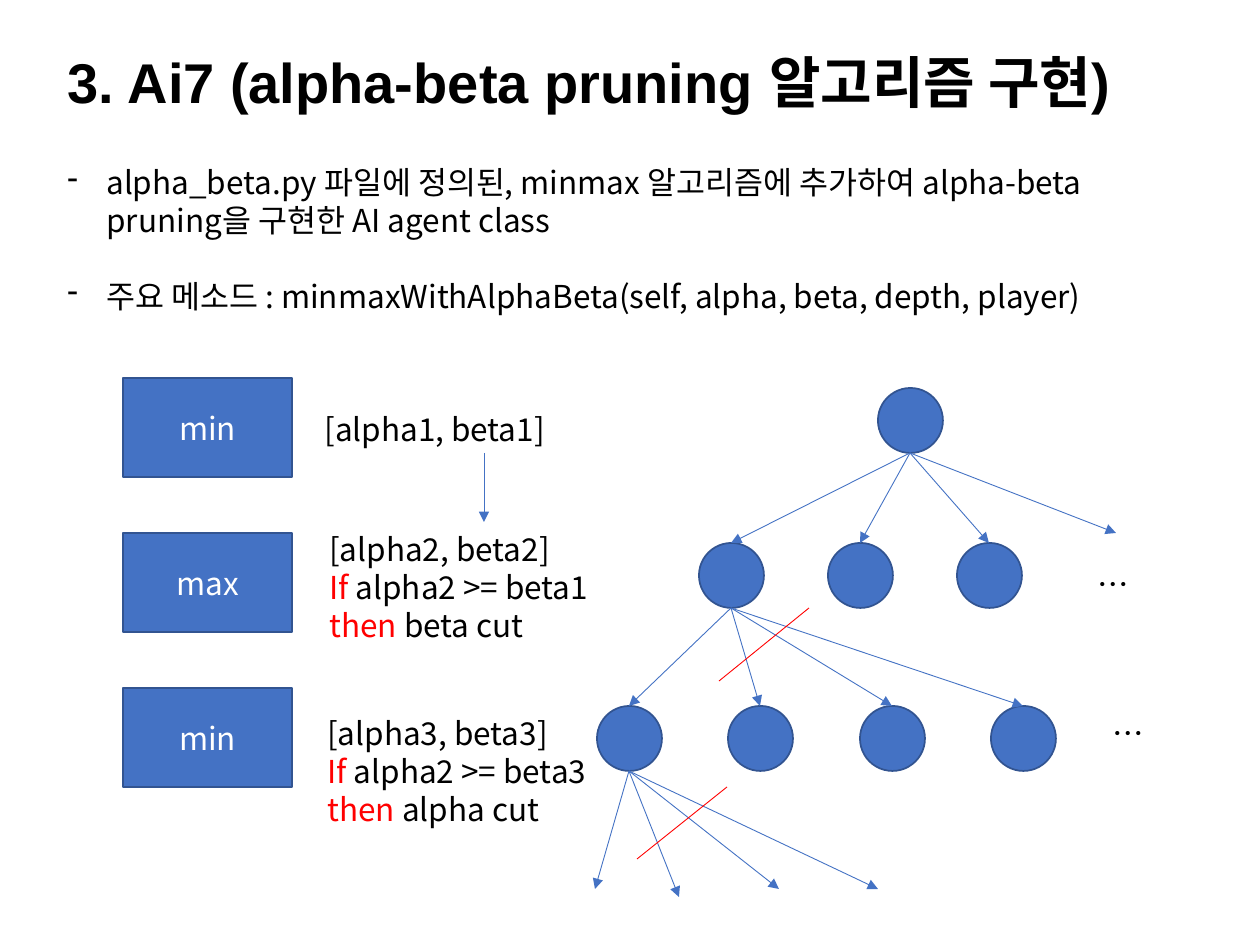
"""Build the slide that explains alpha-beta pruning with a game tree."""
from dataclasses import dataclass
from typing import NamedTuple

import lxml.etree
import pptx
import pptx.dml.color
import pptx.enum.shapes
import pptx.enum.text
import pptx.oxml.ns
import pptx.util

EMU_PER_PX = 914400 / 126
BODY_FONT = "Noto Sans CJK KR"
BLACK, WHITE, RED = "000000", "FFFFFF", "FF0000"
BLUE, DARK_BLUE = "4472C4", "325491"
NODE_SIZE = 65
BULLET_INDENT = 39


class Point(NamedTuple):
    x: int
    y: int


class Span(NamedTuple):
    text: str
    color: str = BLACK


@dataclass
class Label:
    left: int
    top: int
    width: int
    paragraphs: list[list[Span]]
    size: int = 18
    font: str = BODY_FONT
    bold: bool = False
    bullet: str = ""


@dataclass
class Level:
    name: str
    top: int


@dataclass
class Node:
    left: int
    top: int

    @property
    def head(self) -> Point:
        return Point(self.left + NODE_SIZE // 2, self.top)

    @property
    def foot(self) -> Point:
        return Point(self.left + NODE_SIZE // 2, self.top + NODE_SIZE)


def px(value: int) -> pptx.util.Emu:
    return pptx.util.Emu(round(value * EMU_PER_PX))


def rgb(color: str) -> pptx.dml.color.RGBColor:
    return pptx.dml.color.RGBColor.from_string(color)


def add_element(parent, tag: str, **attributes: str):
    return lxml.etree.SubElement(parent, pptx.oxml.ns.qn(tag), attributes)


def write_paragraph(para, spans: list[Span], size: int = 18,
                    font: str = BODY_FONT, bold: bool = False) -> None:
    para.line_spacing = pptx.util.Pt(size * 1.2)
    para.font.size = pptx.util.Pt(size)
    para.font.bold = bold
    para.font.color.rgb = rgb(spans[0].color)
    para.font.name = font
    defaults = para._p.pPr.find(pptx.oxml.ns.qn("a:defRPr"))
    add_element(defaults, "a:ea", typeface=BODY_FONT)
    for span in spans:
        run = para.add_run()
        run.text = span.text
        if span.color != spans[0].color:
            run.font.color.rgb = rgb(span.color)


def add_bullet(para, character: str) -> None:
    properties = para._p.pPr
    properties.set("marL", str(px(BULLET_INDENT)))
    properties.set("indent", str(px(-BULLET_INDENT)))
    bullet = add_element(properties, "a:buChar", char=character)
    properties.find(pptx.oxml.ns.qn("a:defRPr")).addprevious(bullet)


def draw_label(page, label: Label) -> None:
    height = 12 + 38 * len(label.paragraphs)
    box = page.shapes.add_textbox(
        px(label.left), px(label.top), px(label.width), px(height))
    frame = box.text_frame
    frame.word_wrap = True
    for index, spans in enumerate(label.paragraphs):
        para = frame.add_paragraph() if index else frame.paragraphs[0]
        write_paragraph(para, spans, label.size, label.font, label.bold)
        if label.bullet:
            add_bullet(para, label.bullet)
            para.space_before = pptx.util.Pt(21.6 if index else 0)


def draw_shape(page, kind, left: int, top: int, width: int, height: int):
    shape = page.shapes.add_shape(kind, px(left), px(top), px(width), px(height))
    shape.shadow.inherit = False
    shape.fill.solid()
    shape.fill.fore_color.rgb = rgb(BLUE)
    shape.line.color.rgb = rgb(DARK_BLUE)
    shape.line.width = pptx.util.Pt(1)
    return shape


def draw_level(page, level: Level) -> None:
    box = draw_shape(page, pptx.enum.shapes.MSO_SHAPE.RECTANGLE, 123, level.top, 169, 99)
    frame = box.text_frame
    frame.vertical_anchor = pptx.enum.text.MSO_ANCHOR.MIDDLE
    para = frame.paragraphs[0]
    para.alignment = pptx.enum.text.PP_ALIGN.CENTER
    write_paragraph(para, [Span(level.name, WHITE)])


def draw_node(page, node: Node) -> None:
    draw_shape(page, pptx.enum.shapes.MSO_SHAPE.OVAL,
               node.left, node.top, NODE_SIZE, NODE_SIZE)


def draw_line(page, start: Point, end: Point, color: str = BLUE, arrow: bool = True) -> None:
    line = page.shapes.add_connector(
        pptx.enum.shapes.MSO_CONNECTOR.STRAIGHT,
        px(start.x), px(start.y), px(end.x), px(end.y))
    line.line.color.rgb = rgb(color)
    line.line.width = pptx.util.Pt(0.5)
    properties = line.element.spPr
    if arrow:
        add_element(properties.find(pptx.oxml.ns.qn("a:ln")), "a:tailEnd", type="triangle")
    add_element(properties, "a:effectLst")


LABELS = [
    Label(55, 41, 1145, [[Span("3. Ai7 (alpha-beta pruning 알고리즘 구현)")]],
          size=32, font="Arial", bold=True),
    Label(55, 157, 1121, [
        [Span("alpha_beta.py 파일에 정의된, minmax 알고리즘에 추가하여 "
              "alpha-beta pruning을 구현한 AI agent class")],
        [Span("주요 메소드 : minmaxWithAlphaBeta(self, alpha, beta, depth, player)")],
    ], bullet="-"),
    Label(312, 404, 247, [[Span("[alpha1, beta1]")]]),
    Label(317, 524, 312, [
        [Span("[alpha2, beta2]")],
        [Span("If", RED), Span(" alpha2 >= beta1 ", BLACK),
         Span("then", RED), Span(" beta cut", BLACK)],
    ]),
    Label(315, 708, 312, [
        [Span("[alpha3, beta3]")],
        [Span("If", RED), Span(" alpha2 >= beta3")],
        [Span("then", RED), Span(" alpha cut")],
    ]),
    Label(1085, 559, 80, [[Span("…")]]),
    Label(1100, 708, 80, [[Span("…")]]),
]
LEVELS = [Level(name, 378 + 155 * index) for index, name in enumerate(("min", "max", "min"))]
ROOT = Node(878, 388)
CHILDREN = [Node(699 + 129 * index, 543) for index in range(3)]
GRANDCHILDREN = [Node(597 + 263 * index // 2, 706) for index in range(4)]
LEAVES = [Point(595, 889), Point(679, 897), Point(779, 889), Point(878, 889)]
BRANCHES = [
    (ROOT, [child.head for child in CHILDREN] + [Point(1116, 533)]),
    (CHILDREN[0], [node.head for node in GRANDCHILDREN]),
    (GRANDCHILDREN[0], LEAVES),
]
CUTS = [(Point(809, 608), Point(719, 681)), (Point(727, 787), Point(637, 859))]


def main() -> None:
    deck = pptx.Presentation()
    deck.slide_width, deck.slide_height = px(1260), px(945)
    page = deck.slides.add_slide(deck.slide_layouts[6])
    for level in LEVELS:
        draw_level(page, level)
    for label in LABELS:
        draw_label(page, label)
    for node in [ROOT, *CHILDREN, *GRANDCHILDREN]:
        draw_node(page, node)
    for parent, ends in BRANCHES:
        for end in ends:
            draw_line(page, parent.foot, end)
    draw_line(page, Point(484, 453), Point(484, 522))
    for start, end in CUTS:
        draw_line(page, start, end, RED, arrow=False)
    deck.save("out.pptx")


if __name__ == "__main__":
    main()
